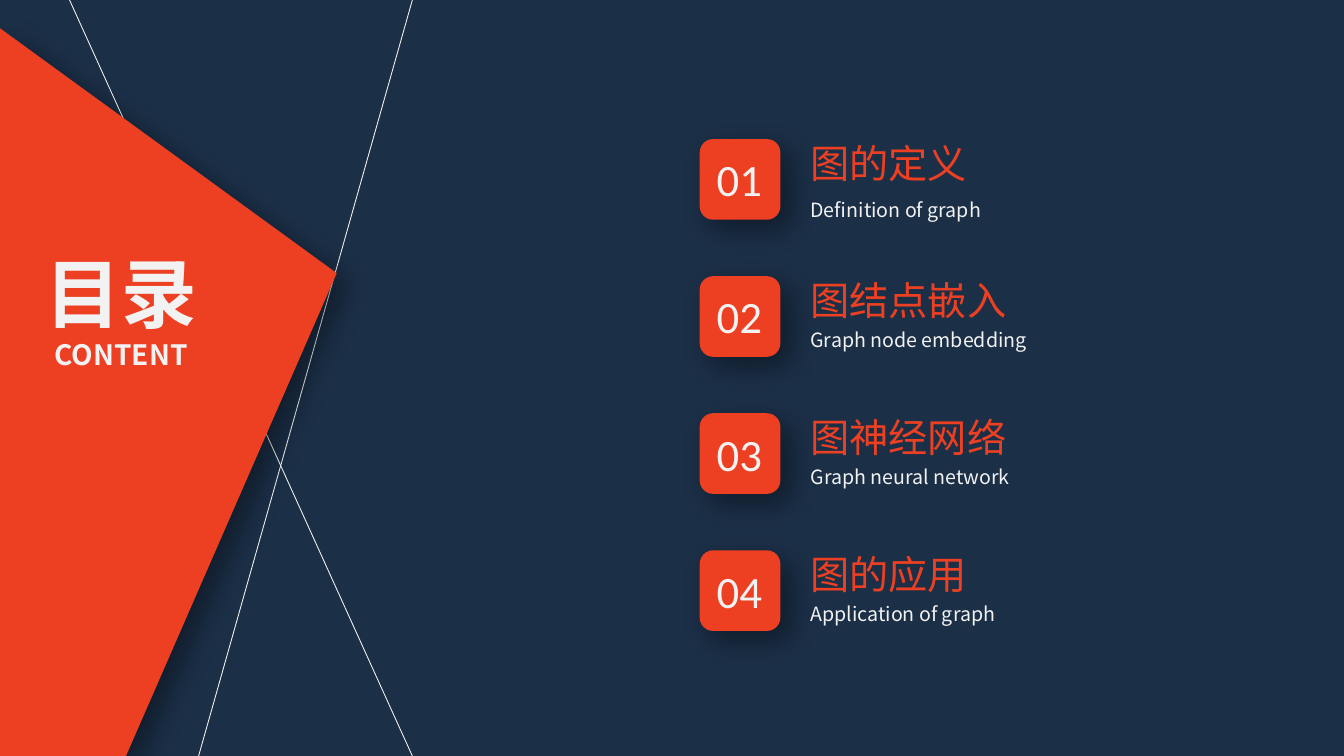
from dataclasses import dataclass

from lxml import etree
from pptx import Presentation
from pptx import util as u
from pptx.dml.color import RGBColor
from pptx.enum import shapes, text
from pptx.oxml import ns


@dataclass(frozen=True)
class Theme:
    navy: str = "1B2F47"
    red: str = "ED4022"
    pale: str = "F2F2F2"
    shadow: str = "000000"
    body_font: str = "Noto Sans CJK SC"
    number_font: str = "Calibri"
    title: int = 54
    number: int = 32
    heading: int = 28
    subtitle: int = 20
    caption: int = 14
    rule: float = 0.63


THEME = Theme()
LEFT, CENTER = text.PP_ALIGN.LEFT, text.PP_ALIGN.CENTER

# Number, heading, caption, caption width, caption line spacing
CHAPTERS = [
    ("01", "图的定义", "Definition of graph", 1.99, 1.3),
    ("02", "图结点嵌入", "Graph node embedding", 2.47, None),
    ("03", "图神经网络", "Graph neural network", 2.25, None),
    ("04", "图的应用", "Application of graph", 2.14, None),
]


def color(value):
    return RGBColor.from_string(value)


def add_text(page, box, lines, font=THEME.body_font, fill=THEME.pale,
             bold=False, align=LEFT, wrap=False, spacing=None):
    """Place (words, size) lines in a box given in inches."""
    frame = page.shapes.add_textbox(*map(u.Inches, box)).text_frame
    frame.word_wrap = wrap
    frame.auto_size = text.MSO_AUTO_SIZE.SHAPE_TO_FIT_TEXT
    for index, (words, size) in enumerate(lines):
        para = frame.add_paragraph() if index else frame.paragraphs[0]
        para.alignment = align
        para.line_spacing = spacing
        span = para.add_run()
        span.text = words
        span.font.size = u.Pt(size)
        span.font.bold = bold
        span.font.color.rgb = color(fill)
        span.font.name = font
        # East Asian glyphs need their own typeface entry
        east_asian = etree.SubElement(span.font._element, ns.qn("a:ea"))
        east_asian.set("typeface", font)


def style_block(block):
    """Red fill, no outline and a soft shadow to the lower right."""
    block.fill.solid()
    block.fill.fore_color.rgb = color(THEME.red)
    block.line.fill.background()
    block.shadow.inherit = False
    effects = block._element.spPr.find(ns.qn("a:effectLst"))
    shadow = etree.SubElement(
        effects, ns.qn("a:outerShdw"), blurRad=str(u.Pt(20)),
        dist=str(u.Pt(10)), dir=str(45 * 60000), algn="tl", rotWithShape="0")
    tint = etree.SubElement(shadow, ns.qn("a:srgbClr"), val=THEME.shadow)
    etree.SubElement(tint, ns.qn("a:alpha"), val="40000")


def add_rule(page, start, end):
    rule = page.shapes.add_connector(
        shapes.MSO_CONNECTOR.STRAIGHT, *map(u.Inches, start + end))
    rule.line.color.rgb = color(THEME.pale)
    rule.line.width = u.Pt(THEME.rule)
    etree.SubElement(rule._element.spPr, ns.qn("a:effectLst"))


def add_title_panel(page, left, top, width, height):
    """Crossing rules behind a red wedge that carries the title."""
    bottom = top + height
    add_rule(page, (left + 4.09, top), (left + 1.97, bottom))
    add_rule(page, (left + 4.09, bottom), (left + 0.69, top))

    # Red wedge
    corners = [(left, bottom), (left, top + 0.28),
               (left + width, top + 2.71), (left + 1.25, bottom)]
    points = [(u.Inches(x), u.Inches(y)) for x, y in corners]
    outline = page.shapes.build_freeform(*points[0])
    outline.add_line_segments(points[1:], close=True)
    style_block(outline.convert_to_shape())

    # Title
    add_text(page, (left + 0.24, top + 2.4, 1.92, 1.35),
             [("目录", THEME.title), ("CONTENT", THEME.subtitle)],
             bold=True, align=CENTER, wrap=True)


def add_chapter(page, left, top, side, chapter):
    """One numbered tile with its heading and caption."""
    number, heading, caption, caption_width, spacing = chapter
    tile = page.shapes.add_shape(
        shapes.MSO_SHAPE.ROUNDED_RECTANGLE,
        *map(u.Inches, (left, top, side, side)))
    style_block(tile)
    add_text(page, (left + 0.07, top + 0.08, 0.66, 0.64),
             [(number, THEME.number)], font=THEME.number_font)

    text_left = left + side + 0.2
    caption_height = 0.38 if spacing else 0.34
    add_text(page, (text_left, top + 0.46, caption_width, caption_height),
             [(caption, THEME.caption)], spacing=spacing)
    add_text(page, (text_left, top - 0.05, 3.17, 0.57),
             [(heading, THEME.heading)], fill=THEME.red, wrap=True)


def add_chapter_list(page, left, top, side, pitch):
    for index, chapter in enumerate(CHAPTERS):
        add_chapter(page, left, top + index * pitch, side, chapter)


def main():
    deck = Presentation()
    deck.slide_width, deck.slide_height = u.Inches(13.33), u.Inches(7.5)
    page = deck.slides.add_slide(deck.slide_layouts[6])
    page.background.fill.solid()
    page.background.fill.fore_color.rgb = color(THEME.navy)
    add_title_panel(page, 0, 0, 3.34, 7.5)
    add_chapter_list(page, 6.94, 1.38, 0.8, 1.36)
    deck.save("out.pptx")


if __name__ == "__main__":
    main()
